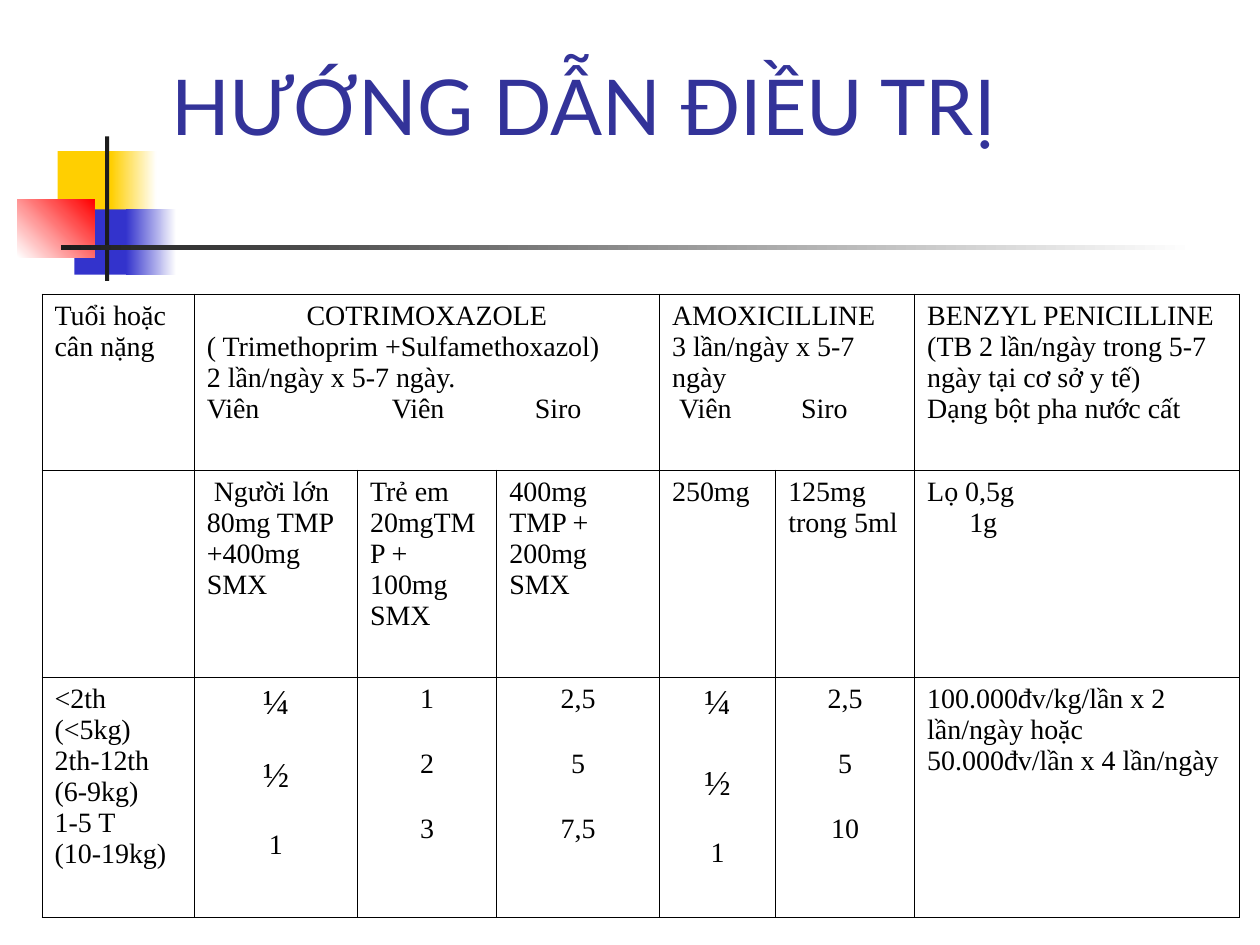
from dataclasses import dataclass
from itertools import product

from lxml import etree
from pptx import Presentation
from pptx.dml.color import RGBColor
from pptx.enum import shapes, text
from pptx.oxml import ns
from pptx.util import Pt


@dataclass(frozen=True)
class Theme:
    white: str = "FFFFFF"
    black: str = "000000"
    dark: str = "1C1C1C"
    gold: str = "FFCF01"
    blue: str = "3333CC"
    red: str = "FF0000"
    title: str = "333399"
    head: str = "Lato"
    body: str = "Times New Roman"
    big: float = 44
    base: float = 16
    frac: float = 20
    rule: float = 0.45


@dataclass
class Line:
    """One paragraph: tabs are stop positions, gap is the space before."""
    words: str
    mid: bool = False
    tabs: tuple = ()
    gap: float = 0
    size: float = Theme.base


def left(*rows):
    return [Line(row) for row in rows]


def doses(*rows, gaps=(0, 19.4, 19.4)):
    """Centred doses, with fraction signs set larger."""
    return [Line(row, mid=True, gap=gap,
                 size=Theme.frac if row in "¼½" else Theme.base)
            for row, gap in zip(rows, gaps)]


class Deck:
    def __init__(self, theme):
        self.theme = theme
        self.file = Presentation()
        self.file.slide_width, self.file.slide_height = Pt(720), Pt(540)
        self.slide = self.file.slides.add_slide(self.file.slide_layouts[6])

    def rect(self, box, tint, end=None, angle=0):
        """Plain rectangle, or one fading from tint to end."""
        shape = self.slide.shapes.add_shape(
            shapes.MSO_SHAPE.RECTANGLE, *map(Pt, box))
        shape.shadow.inherit = False
        shape.line.fill.background()
        if end is None:
            shape.fill.solid()
            shape.fill.fore_color.rgb = RGBColor.from_string(tint)
            return
        shape.fill.gradient()
        shape.fill.gradient_angle = angle
        for stop, hue in zip(shape.fill.gradient_stops, (tint, end)):
            stop.color.rgb = RGBColor.from_string(hue)

    def run(self, para, words, face, size, tint):
        run = para.add_run()
        run.text = words
        run.font.name = face
        run.font.size = Pt(size)
        run.font.color.rgb = RGBColor.from_string(tint)

    def title(self, box, words):
        frame = self.slide.shapes.add_textbox(*map(Pt, box)).text_frame
        frame.word_wrap = True
        frame.vertical_anchor = text.MSO_ANCHOR.BOTTOM
        look = self.theme
        self.run(frame.paragraphs[0], words, look.head, look.big, look.title)

    def tabs(self, para, stops):
        props = para._p.get_or_add_pPr()
        tabs = etree.SubElement(props, ns.qn("a:tabLst"))
        for stop in stops:
            etree.SubElement(tabs, ns.qn("a:tab"), pos=str(Pt(stop)), algn="l")

    def fill(self, cell, lines):
        frame = cell.text_frame
        for i, line in enumerate(lines):
            para = frame.add_paragraph() if i else frame.paragraphs[0]
            if line.gap:
                para.space_before = Pt(line.gap)
            if line.tabs:
                self.tabs(para, line.tabs)
            if line.mid:
                para.alignment = text.PP_ALIGN.CENTER
            self.run(para, line.words, self.theme.body, line.size,
                     self.theme.black)

    def edge(self, cell):
        """Thin border on all four sides."""
        props = cell._tc.get_or_add_tcPr()
        for i, side in enumerate("LRTB"):
            rule = etree.Element(ns.qn("a:ln" + side),
                                 w=str(Pt(self.theme.rule)))
            paint = etree.SubElement(rule, ns.qn("a:solidFill"))
            etree.SubElement(paint, ns.qn("a:srgbClr"), val=self.theme.black)
            props.insert(i, rule)

    def table(self, x, y, cols, rows, spans, cells):
        grid = self.slide.shapes.add_table(
            len(rows), len(cols), Pt(x), Pt(y),
            Pt(sum(cols)), Pt(sum(rows))).table
        grid.first_row = grid.horz_banding = False
        for col, width in zip(grid.columns, cols):
            col.width = Pt(width)
        for row, height in zip(grid.rows, rows):
            row.height = Pt(height)
        for r, c in product(range(len(rows)), range(len(cols))):
            cell = grid.cell(r, c)
            cell.fill.background()
            self.edge(cell)
            self.fill(cell, cells[r][c])
        for r, first, last in spans:
            grid.cell(r, first).merge(grid.cell(r, last))


def main():
    look = Theme()
    deck = Deck(look)

    deck.rect((33, 86.4, 34.5, 37.4), look.gold)
    deck.rect((63.5, 86.4, 26, 37.4), look.gold, look.white)
    deck.rect((42.5, 119.6, 33, 37.4), look.blue)
    deck.rect((72, 119.6, 28.8, 37.4), look.blue, look.white)
    deck.rect((10, 113.8, 44, 33.2), look.white, look.red, 45)
    deck.rect((60, 78, 2.4, 82.6), look.dark)
    deck.rect((34.8, 140.2, 648, 2.4), look.dark, look.white)

    deck.title((90.7, 16.6, 613.4, 73.4), "HƯỚNG DẪN ĐIỀU TRỊ")

    head = [
        left("Tuổi hoặc cân nặng"),
        [Line("COTRIMOXAZOLE", mid=True),
         *left("( Trimethoprim +Sulfamethoxazol)", "2 lần/ngày x 5-7 ngày."),
         Line("Viên\tViên\tSiro", tabs=(105.7, 187.4))],
        [], [],
        [*left("AMOXICILLINE", "3 lần/ngày x 5-7 ngày"),
         Line("\tViên\tSiro", tabs=(4, 73.7))],
        [],
        left("BENZYL PENICILLINE",
             "(TB 2 lần/ngày trong 5-7 ngày tại cơ sở y tế)",
             "Dạng bột pha nước cất"),
    ]
    forms = [
        [],
        [Line("\tNgười lớn", tabs=(4,)), *left("80mg TMP +400mg SMX")],
        left("Trẻ em", "20mgTMP + 100mg SMX"),
        left("400mg TMP + 200mg SMX"),
        left("250mg"),
        left("125mg trong 5ml"),
        [*left("Lọ 0,5g"), Line("\t1g", tabs=(24,))],
    ]
    ages = [
        left("<2th", "(<5kg)", "2th-12th", "(6-9kg)", "1-5 T", "(10-19kg)"),
        doses("¼", "½", "1"),
        doses("1", "2", "3"),
        doses("2,5", "5", "7,5"),
        doses("¼", "½", "1", gaps=(0, 24, 19.4)),
        doses("2,5", "5", "10"),
        left("100.000đv/kg/lần x 2 lần/ngày hoặc 50.000đv/lần x 4 lần/ngày"),
    ]
    deck.table(24, 168, (87, 93.3, 79.6, 93, 66.4, 79.4, 185.7),
               (100.6, 118.4, 137), ((0, 1, 3), (0, 4, 5)),
               (head, forms, ages))

    deck.file.save("out.pptx")


if __name__ == "__main__":
    main()
